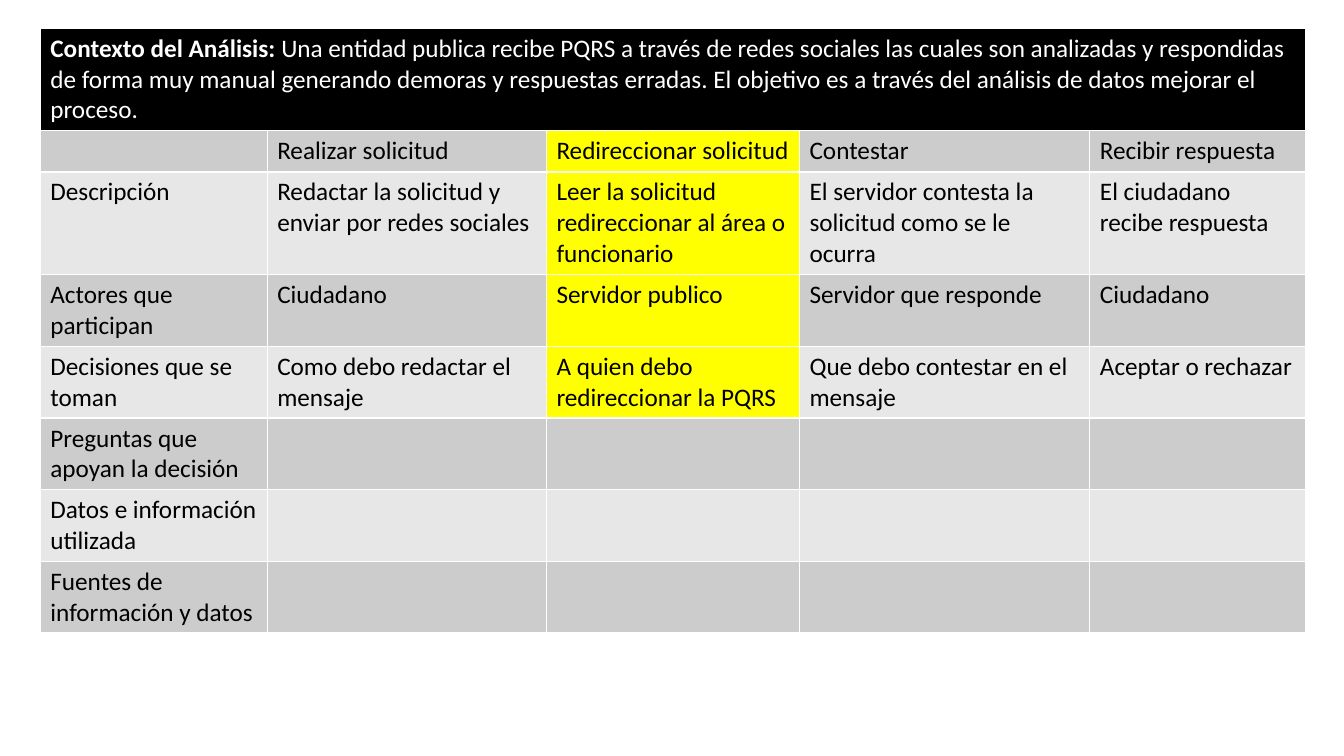
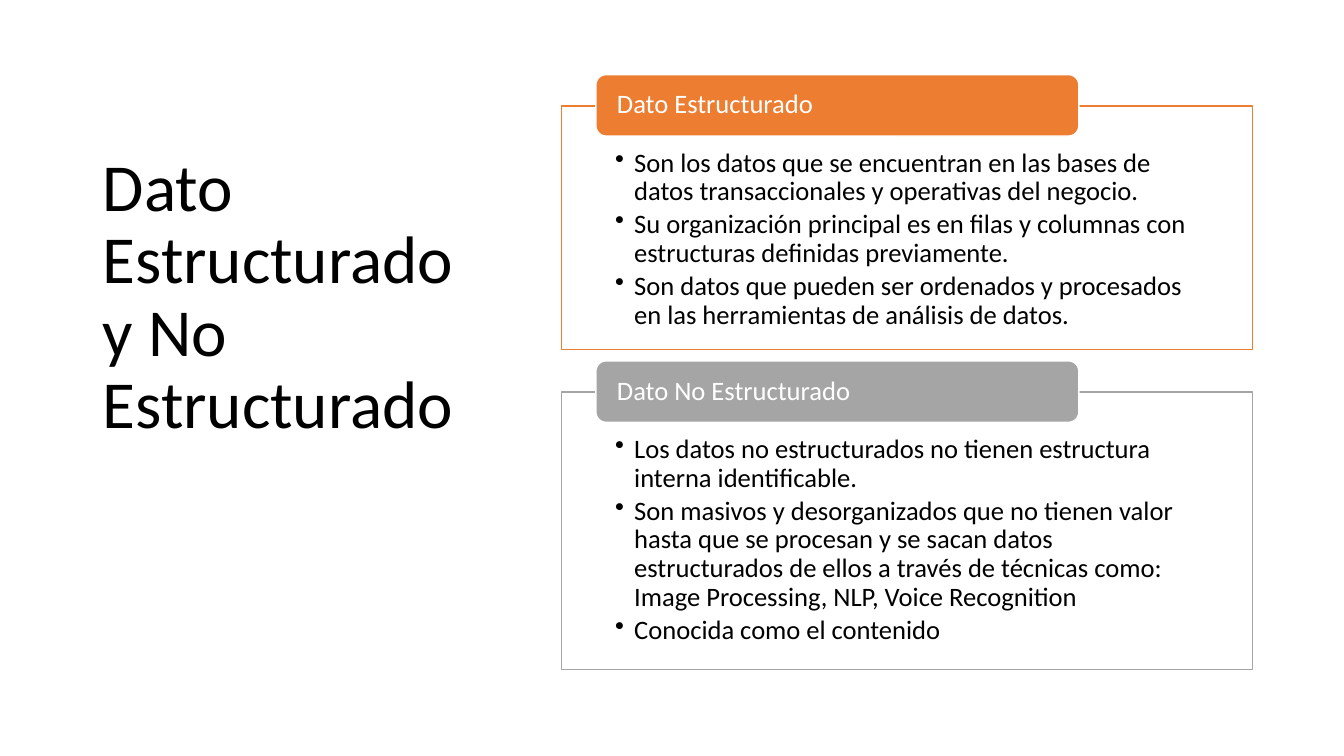
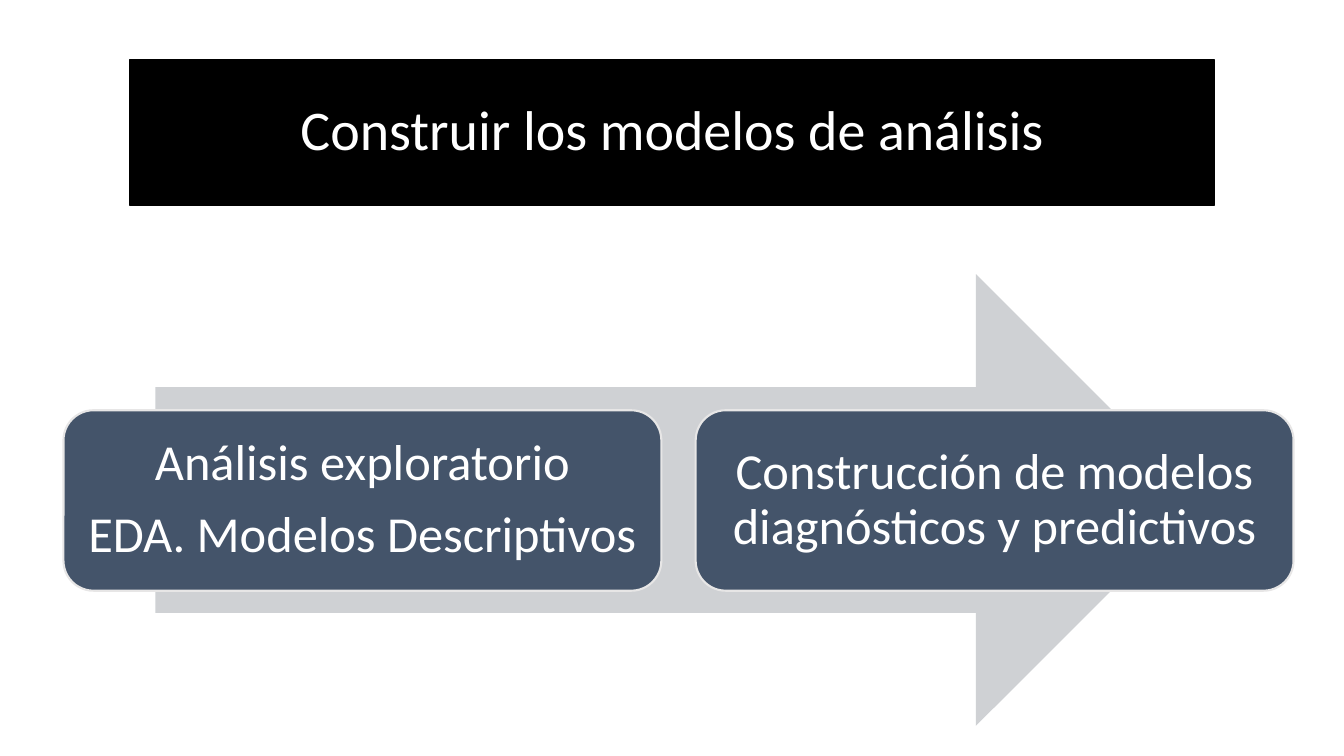
from lxml.etree import SubElement
from pptx import Presentation
from pptx.dml.color import RGBColor
from pptx.enum.shapes import MSO_SHAPE
from pptx.enum.text import MSO_ANCHOR, PP_ALIGN
from pptx.oxml.ns import qn
from pptx.util import Inches, Pt

BLACK, WHITE, YELLOW = "000000", "FFFFFF", "FFFF00"
ORANGE, GRAY, NAVY, PALE = "ED7D31", "A5A5A5", "44546A", "CFD1D4"
BANDS = ("CCCCCC", "E7E7E7")


def rgb(value):
    return RGBColor.from_string(value)


class Deck:
    font = "Calibri"

    def __init__(self):
        self.prs = Presentation()
        self.prs.slide_width, self.prs.slide_height = Inches(13.33), Inches(7.5)
        self.s = None

    def new_slide(self):
        self.s = self.prs.slides.add_slide(self.prs.slide_layouts[6])

    def run(self, p, text, size, color, bold=False):
        r = p.add_run()
        r.text = text
        for name, value in {"name": self.font, "size": Pt(size), "bold": bold}.items():
            setattr(r.font, name, value)
        r.font.color.rgb = rgb(color)

    def fill_text(self, shape, lines, size, color, align=PP_ALIGN.LEFT, after=0,
                  anchor=MSO_ANCHOR.MIDDLE, insets=(0.1, 0.05, 0.1, 0.05), bullet=False):
        tf = shape.text_frame
        left, top, right, bottom = map(Inches, insets)
        frame = {"word_wrap": True, "vertical_anchor": anchor, "margin_left": left,
                 "margin_top": top, "margin_right": right, "margin_bottom": bottom}
        for name, value in frame.items():
            setattr(tf, name, value)
        for i, line in enumerate(lines):
            p = tf.add_paragraph() if i else tf.paragraphs[0]
            if bullet:
                pPr = p._p.get_or_add_pPr()
                pPr.set("marL", str(Inches(0.19)))
                pPr.set("indent", str(-Inches(0.19)))
                SubElement(pPr, qn("a:buChar"), char="•")
            spacing = {"alignment": align, "line_spacing": 0.9, "space_after": Pt(after)}
            for name, value in spacing.items():
                setattr(p, name, value)
            self.run(p, line, size, color)

    def text(self, box, lines, size, color, **style):
        self.fill_text(self.s.shapes.add_textbox(*map(Inches, box)), lines, size, color, **style)

    def shape(self, kind, box, fill, line=None, width=1):
        sp = self.s.shapes.add_shape(kind, *map(Inches, box))
        sp.shadow.inherit = False
        sp.fill.solid()
        sp.fill.fore_color.rgb = rgb(fill)
        if line:
            sp.line.color.rgb = rgb(line)
            sp.line.width = Pt(width)
        else:
            sp.line.fill.background()
        return sp

    def table(self, left, top, widths, heights):
        frame = self.s.shapes.add_table(len(heights), len(widths), Inches(left), Inches(top),
                                        Inches(sum(widths)), Inches(sum(heights)))
        for tracks, sizes, name in ((frame.table.columns, widths, "width"),
                                    (frame.table.rows, heights, "height")):
            for track, size in zip(tracks, sizes):
                setattr(track, name, Inches(size))
        return frame.table

    def cell(self, cell, fill, runs, size=18):
        tcPr = cell._tc.get_or_add_tcPr()
        for side in ("lnL", "lnR", "lnT", "lnB"):
            ln = SubElement(tcPr, qn("a:" + side), w=str(Pt(1)))
            SubElement(SubElement(ln, qn("a:solidFill")), qn("a:srgbClr"), val=WHITE)
        cell.fill.solid()
        cell.fill.fore_color.rgb = rgb(fill)
        for text, color, bold in runs:
            self.run(cell.text_frame.paragraphs[0], text, size, color, bold)


def context_slide(d):
    d.new_slide()
    rows = [
        ["", "Realizar solicitud", "Redireccionar solicitud", "Contestar", "Recibir respuesta"],
        ["Descripción", "Redactar la solicitud y enviar por redes sociales",
         "Leer la solicitud redireccionar al área o funcionario",
         "El servidor contesta la solicitud como se le ocurra", "El ciudadano recibe respuesta"],
        ["Actores que participan", "Ciudadano", "Servidor publico", "Servidor que responde",
         "Ciudadano"],
        ["Decisiones que se toman", "Como debo redactar el mensaje",
         "A quien debo redireccionar la PQRS", "Que debo contestar en el mensaje",
         "Aceptar o rechazar"],
        ["Preguntas que apoyan la decisión"] + [""] * 4,
        ["Datos e información utilizada"] + [""] * 4,
        ["Fuentes de información y datos"] + [""] * 4,
    ]
    table = d.table(0.4, 0.28, [2.25, 2.77, 2.51, 2.88, 2.14], [1.01, 0.41, 1.02] + [0.71] * 5)

    # Context heading across all columns
    table.cell(0, 0).merge(table.cell(0, 4))
    d.cell(table.cell(0, 0), BLACK, [
        ("Contexto del Análisis: ", WHITE, True),
        ("Una entidad publica recibe PQRS a través de redes sociales las cuales son analizadas y "
         "respondidas de forma muy manual generando demoras y respuestas erradas. El objetivo es "
         "a través del análisis de datos mejorar el proceso.", WHITE, False)])

    # Banded body, with the key step highlighted where it is filled in
    for i, row in enumerate(rows):
        for j, text in enumerate(row):
            fill = YELLOW if j == 2 and text else BANDS[i % 2]
            d.cell(table.cell(i + 1, j), fill, [(text, BLACK, False)] if text else [])


def data_types_slide(d):
    d.new_slide()
    d.text((0.92, 1.41, 3.69, 3.1), ["Dato Estructurado y No Estructurado"], 48, BLACK)
    groups = [
        ("Dato Estructurado", ORANGE, 1.05, 2.42, [
            "Son los datos que se encuentran en las bases de datos transaccionales y operativas "
            "del negocio.",
            "Su organización principal es en filas y columnas con estructuras definidas "
            "previamente.",
            "Son datos que pueden ser ordenados y procesados en las herramientas de análisis de "
            "datos."]),
        ("Dato No Estructurado", GRAY, 3.89, 2.75, [
            "Los datos no estructurados no tienen estructura interna identificable.",
            "Son masivos y desorganizados que no tienen valor hasta que se procesan y se sacan "
            "datos estructurados de ellos a través de técnicas como: Image Processing, NLP, "
            "Voice Recognition",
            "Conocida como el contenido"]),
    ]
    # Framed list with a label over its top edge
    for label, color, top, height, points in groups:
        frame = d.shape(MSO_SHAPE.RECTANGLE, (5.57, top, 6.85, height), WHITE, color)
        d.fill_text(frame, points, 19, BLACK, after=3, anchor=MSO_ANCHOR.TOP,
                    insets=(0.53, 0.43, 0.53, 0.15), bullet=True)
        tab = d.shape(MSO_SHAPE.ROUNDED_RECTANGLE, (5.91, top - 0.31, 4.79, 0.61), color, WHITE)
        d.fill_text(tab, [label], 19, WHITE, insets=(0.18, 0, 0.18, 0))


def models_slide(d):
    d.new_slide()
    # Title band
    band = d.shape(MSO_SHAPE.RECTANGLE, (1.29, 0.59, 10.75, 1.45), BLACK, BLACK)
    d.fill_text(band, ["Construir los modelos de análisis"], 40, WHITE, align=PP_ALIGN.CENTER)

    # Steps along the arrow
    d.shape(MSO_SHAPE.RIGHT_ARROW, (1.54, 2.72, 10.38, 4.48), PALE)
    steps = [["Análisis exploratorio", "EDA. Modelos Descriptivos"],
             ["Construcción de modelos diagnósticos y predictivos"]]
    for i, lines in enumerate(steps):
        step = d.shape(MSO_SHAPE.ROUNDED_RECTANGLE, (0.63 + 6.27 * i, 4.07, 5.93, 1.79),
                       NAVY, "E7E6E6", 1.5)
        d.fill_text(step, lines, 36, WHITE, align=PP_ALIGN.CENTER, after=12.6,
                    insets=(0.15,) * 4)


def main():
    d = Deck()
    for build in (context_slide, data_types_slide, models_slide):
        build(d)
    d.prs.save("out.pptx")


if __name__ == "__main__":
    main()
